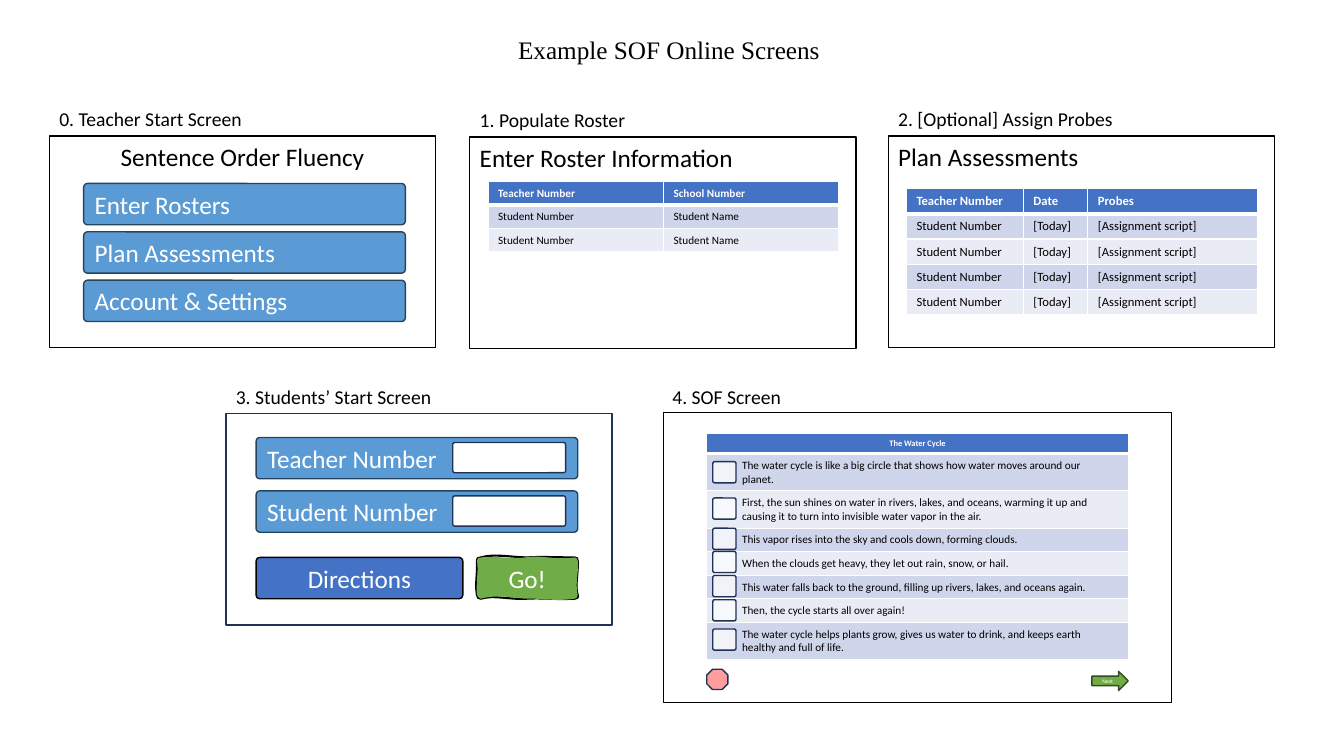
from lxml import etree
from pptx import Presentation
from pptx.dml.color import RGBColor
from pptx.enum.shapes import MSO_SHAPE
from pptx.enum.text import MSO_ANCHOR, PP_ALIGN
from pptx.oxml.ns import qn
from pptx.util import Pt

PX = 9144  # one px is a hundredth of an inch
RECT, ROUND = MSO_SHAPE.RECTANGLE, MSO_SHAPE.ROUNDED_RECTANGLE
ARROW, SNIP = MSO_SHAPE.RIGHT_ARROW, MSO_SHAPE.SNIP_2_SAME_RECTANGLE
LEFT, CENTER = PP_ALIGN.LEFT, PP_ALIGN.CENTER
TOP, MID = MSO_ANCHOR.TOP, MSO_ANCHOR.MIDDLE

BLACK, WHITE = "000000", "FFFFFF"
SKY, STEEL, NAVY = "5B9BD5", "28445D", "1E3256"
BLUE, GREEN, MOSS, RED = "4472C4", "70AD47", "314C1F", "FF0000"
BANDS = ["CFD5EA", "E9EBF5"]
HARD = chr(160)  # hard space that ends a sentence and shapes its wrap

# text, row height, top of its tick box
STORY = [
    ("The water cycle is like a big circle that shows how water moves "
     "around our planet." + HARD, 37, 458),
    ("First, the sun shines on water in rivers, lakes, and oceans, warming "
     "it up and causing it to turn into invisible water vapor in the air."
     + HARD, 37, 494),
    ("This vapor rises into the sky and cools down, forming clouds." + HARD,
     23, 524),
    ("When the clouds get heavy, they let out rain, snow, or hail." + HARD,
     23, 547),
    ("This water falls back to the ground, filling up rivers, lakes, and "
     "oceans again." + HARD, 23, 571),
    ("Then, the cycle starts all over again!" + HARD, 23, 595),
    ("The water cycle helps plants grow, gives us water to drink, and keeps "
     "earth healthy and full of life.", 37, 624),
]

# Start point, then cubic curves as two handles and an end
GO_BOX = (473, 553, 100, 41)
GO_LINE = [(473, 556),
           (473, 554, 474, 553, 477, 553), (490, 549, 509, 553, 523, 553),
           (537, 552, 551, 553, 570, 553), (572, 553, 573, 554, 573, 556),
           (574, 567, 570, 582, 573, 590), (574, 593, 572, 594, 570, 594),
           (547, 595, 540, 593, 522, 594), (504, 595, 490, 590, 477, 594),
           (475, 594, 473, 593, 473, 590), (471, 578, 474, 569, 473, 556)]
GO_FILL = [(473, 556),
           (473, 554, 475, 553, 477, 553), (490, 551, 506, 555, 521, 553),
           (537, 550, 549, 556, 570, 553), (572, 553, 573, 555, 573, 556),
           (575, 564, 570, 577, 573, 590), (573, 592, 572, 594, 570, 594),
           (549, 597, 533, 593, 523, 594), (514, 594, 494, 589, 477, 594),
           (475, 593, 473, 592, 473, 590), (472, 577, 475, 567, 473, 556)]


def color(code):
    return RGBColor.from_string(code)


def paint(shape, fill=None, line=None, width=1, alpha=100):
    shape.shadow.inherit = False
    if fill:
        shape.fill.solid()
        shape.fill.fore_color.rgb = color(fill)
        if alpha < 100:
            tone = shape.fill._xPr.find(qn("a:solidFill"))[0]
            etree.SubElement(tone, qn("a:alpha"), val=str(alpha * 1000))
    else:
        shape.fill.background()
    if line:
        shape.line.color.rgb = color(line)
        shape.line.width = Pt(width)
    else:
        shape.line.fill.background()


def write(frame, text, size, ink=BLACK, align=LEFT, bold=False,
          font="Calibri"):
    para = frame.paragraphs[0]
    para.alignment = align
    run = para.add_run()
    run.text = text
    run.font.size, run.font.bold, run.font.name = Pt(size), bold, font
    run.font.color.rgb = color(ink)
    return para


def block(slide, kind, box, adj=(), **look):
    shape = slide.shapes.add_shape(kind, *(n * PX for n in box))
    for i, value in enumerate(adj):
        shape.adjustments[i] = value
    paint(shape, **look)
    return shape


def label(slide, text, x, y, wide=383):
    frame = slide.shapes.add_textbox(
        x * PX, y * PX, wide * PX, 34 * PX).text_frame
    frame.word_wrap = True
    write(frame, text, 14)


def panel(slide, box, text="", align=LEFT, line=BLACK):
    frame = block(slide, RECT, box, line=line).text_frame
    frame.vertical_anchor = TOP
    if text:
        write(frame, text, 18, align=align)


def button(slide, text, box, fill=SKY, line=STEEL, align=LEFT):
    frame = block(slide, ROUND, box, [0.09], fill=fill, line=line).text_frame
    frame.vertical_anchor = MID
    write(frame, text, 18, WHITE, align)


def sketch(slide, box, layers, **look):
    """Draw cubic outlines, each with its own settings, as one shape."""
    x, y, wide, high = box
    pen = slide.shapes.build_freeform(x, y, scale=PX)
    pen.add_line_segments([(x + wide, y), (x + wide, y + high), (x, y + high)])
    shape = pen.convert_to_shape()
    root = shape._element.spPr.find(".//" + qn("a:pathLst"))
    root.clear()
    for curves, mode in layers:
        trace = etree.SubElement(root, qn("a:path"), w=str(wide * PX),
                                 h=str(high * PX), **mode)
        for curve in curves:
            name = "a:moveTo" if len(curve) == 2 else "a:cubicBezTo"
            step = etree.SubElement(trace, qn(name))
            for a, b in zip(curve[::2], curve[1::2]):
                etree.SubElement(step, qn("a:pt"), x=str((a - x) * PX),
                                 y=str((b - y) * PX))
        etree.SubElement(trace, qn("a:close"))
    paint(shape, **look)
    return shape


def edge(cell, head):
    """Give a cell white borders, with a thick one under the head."""
    props = cell._tc.get_or_add_tcPr()
    for side in "LRTB":
        width = Pt(3 if head and side == "B" else 1)
        line = etree.SubElement(props, qn("a:ln" + side), w=str(width))
        fill = etree.SubElement(line, qn("a:solidFill"))
        etree.SubElement(fill, qn("a:srgbClr"), val=WHITE)


def grid(slide, x, y, cols, highs, rows, size, top=None, align=LEFT,
         indent=0):
    """Add a banded table; top is the size of the head text."""
    table = slide.shapes.add_table(
        len(rows), len(cols), x * PX, y * PX,
        sum(cols) * PX, sum(highs) * PX).table
    for col, wide in zip(table.columns, cols):
        col.width = wide * PX
    for i, row in enumerate(rows):
        table.rows[i].height = highs[i] * PX
        head = i == 0
        for j, text in enumerate(row):
            cell = table.cell(i, j)
            edge(cell, head)
            cell.fill.solid()
            cell.fill.fore_color.rgb = color(
                BLUE if head else BANDS[(i - 1) % 2])
            para = write(cell.text_frame, text, (top or size) if head else size,
                         WHITE if head else BLACK, align if head else LEFT,
                         head)
            if indent and not head:
                para._p.get_or_add_pPr().set("marL", str(indent * PX))


def teacher(slide):
    panel(slide, (49, 135, 383, 210), "Sentence Order Fluency", CENTER)
    label(slide, "0. Teacher Start Screen", 49, 101, 206)
    names = ["Enter Rosters", "Plan Assessments", "Account & Settings"]
    for i, name in enumerate(names):
        button(slide, name, (83, 182 + 48 * i, 319, 41))


def roster(slide):
    panel(slide, (466, 136, 383, 210), "Enter Roster Information")
    label(slide, "1. Populate Roster", 466, 102, 166)
    rows = [["Teacher Number", "School Number"]]
    rows += [["Student Number", "Student Name"]] * 2
    grid(slide, 484, 180, [174, 174], [23] * 3, rows, 8)


def probes(slide):
    panel(slide, (881, 135, 383, 210), "Plan Assessments")
    label(slide, "2. [Optional] Assign Probes", 881, 101)
    rows = [["Teacher Number", "Date", "Probes"]]
    rows += [["Student Number", "[Today]", "[Assignment script]"]] * 4
    grid(slide, 899, 187, [116, 64, 168], [25] * 5, rows, 9)


def student(slide):
    for i, name in enumerate(["Teacher Number", "Student Number"]):
        y = 434 + 53 * i
        button(slide, name, (254, y, 319, 41))
        block(slide, ROUND, (449, y + 5, 112, 30), [0.07],
              fill=WHITE, line=NAVY)
    button(slide, "Directions", (254, 553, 205, 41), BLUE, BLACK, CENTER)
    layers = [(GO_LINE, {"fill": "none"}), (GO_FILL, {"stroke": "0"})]
    frame = sketch(slide, GO_BOX, layers, fill=GREEN, line=BLACK,
                   width=1.5).text_frame
    frame.vertical_anchor = MID
    write(frame, "Go!", 18, WHITE, CENTER)
    panel(slide, (224, 410, 383, 210), line=NAVY)
    label(slide, "3. Students’ Start Screen", 224, 377)


def fluency(slide):
    panel(slide, (658, 409, 504, 288))
    label(slide, "4. SOF Screen", 657, 377)
    texts, highs, ticks = zip(*STORY)
    rows = [["The Water Cycle"]] + [[text] for text in texts]
    grid(slide, 701, 430, [418], [19, *highs], rows, 8, 6, CENTER, 25)
    frame = block(slide, ARROW, (1083, 666, 36, 19),
                  fill=GREEN, line=MOSS).text_frame
    frame.vertical_anchor = MID
    write(frame, "Next", 4, WHITE, CENTER)
    block(slide, SNIP, (701, 664, 21, 20), [0.29, 0.28],
          fill=RED, line=NAVY, alpha=39)
    for y in ticks:
        block(slide, ROUND, (707, y, 23, 21), [0.09],
              fill=WHITE, line=NAVY, alpha=72)


def main():
    deck = Presentation()
    deck.slide_width, deck.slide_height = 1333 * PX, 750 * PX
    slide = deck.slides.add_slide(deck.slide_layouts[6])
    frame = block(slide, RECT, (62, 29, 1203, 40), fill=WHITE).text_frame
    frame.vertical_anchor = TOP
    write(frame, "Example SOF Online Screens", 18, align=CENTER,
          font="Times New Roman")
    for screen in (teacher, roster, probes, student, fluency):
        screen(slide)
    deck.save("out.pptx")


if __name__ == "__main__":
    main()
